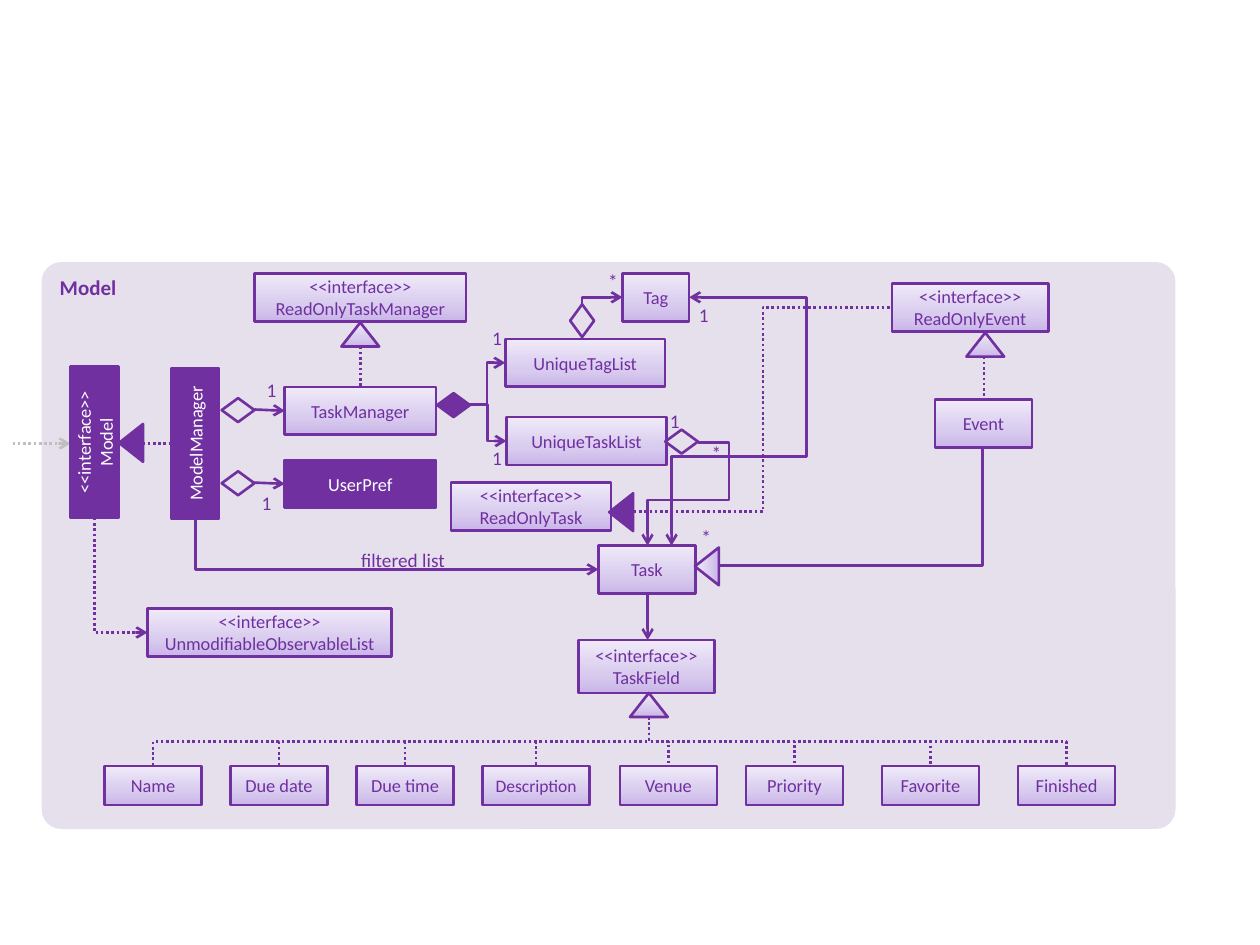
"""Build a class diagram of the Model component."""
import copy
import dataclasses
import typing

import pptx
import pptx.dml.color
import pptx.enum.dml
import pptx.enum.shapes
import pptx.enum.text
import pptx.oxml.ns
import pptx.oxml.xmlchemy
import pptx.util

Inches = pptx.util.Inches
Shapes = pptx.enum.shapes.MSO_SHAPE
Align = pptx.enum.text.PP_ALIGN
Anchor = pptx.enum.text.MSO_ANCHOR
qn = pptx.oxml.ns.qn
Point = tuple[float, float]

COLORS = {"purple": "7030A0", "panel": "E6E0EC", "white": "FFFFFF", "gray": "BFBFBF"}
GRADIENT = ((0, "C9B5E8"), (0.35, "D8CBEE"), (1, "F0EAF9"))
INTERFACE = "<<interface>>\n"
FIELD_TOP = 6.08


@dataclasses.dataclass
class Box:
    text: str
    left: float
    top: float
    width: float
    height: float = 0.38
    fill: str = "gradient"
    rotation: float = 0
    size: float = 10.5


@dataclasses.dataclass
class Marker:
    kind: Shapes
    left: float
    top: float
    fill: str = "none"
    rotation: float = 0


@dataclasses.dataclass
class Link:
    begin: Point
    end: Point
    bends: int = 0
    vertical: bool = False
    arrow: bool = True
    dotted: bool = False
    color: str = "purple"
    adjustments: tuple[float, ...] = ()


@dataclasses.dataclass
class Label:
    text: str
    left: float
    top: float


BOXES = [
    Box("UserPref", 2.26, 3.65, 1.2, fill="purple"),
    Box("ModelManager", 0.95, 3.33, 1.2, fill="purple", rotation=270),
    Box(INTERFACE + "Model", 0.15, 3.32, 1.2, fill="purple", rotation=270),
    Box("TaskManager", 2.26, 3.07, 1.2),
    Box("UniqueTaskList", 4.02, 3.31, 1.27),
    Box("UniqueTagList", 4.01, 2.69, 1.27),
    Box("Tag", 4.94, 2.17, 0.53),
    Box(INTERFACE + "ReadOnlyTask", 3.58, 3.83, 1.27),
    Box(INTERFACE + "ReadOnlyTaskManager", 2.02, 2.17, 1.68),
    Box(INTERFACE + "UnmodifiableObservableList", 1.17, 4.83, 1.94),
    Box(INTERFACE + "ReadOnlyEvent", 7.08, 2.25, 1.24),
    Box("Event", 7.42, 3.17, 0.77),
    Box("Task", 4.75, 4.33, 0.77),
    Box(INTERFACE + "TaskField", 4.59, 5.08, 1.08, 0.42),
]
FIELDS = [
    Box(name, left, FIELD_TOP, 0.85 if name == "Description" else 0.77, 0.31,
        size=10 if name == "Description" else 10.5)
    for name, left in (
        ("Name", 0.83), ("Due date", 1.83), ("Due time", 2.83), ("Description", 3.83),
        ("Venue", 4.92), ("Priority", 5.92), ("Favorite", 7), ("Finished", 8.08))
]
DIAMOND, TRIANGLE = Shapes.FLOWCHART_DECISION, Shapes.ISOSCELES_TRIANGLE
MARKER_SIZES = {DIAMOND: (0.26, 0.19), TRIANGLE: (0.3, 0.19)}
MARKERS = [
    Marker(DIAMOND, 1.76, 3.74),
    Marker(DIAMOND, 1.76, 3.16),
    Marker(DIAMOND, 3.47, 3.12, "purple"),
    Marker(DIAMOND, 5.28, 3.41),
    Marker(DIAMOND, 4.49, 2.45, rotation=270),
    Marker(TRIANGLE, 0.89, 3.42, "purple", 270),
    Marker(TRIANGLE, 4.78, 3.97, "purple", 270),
    Marker(TRIANGLE, 5.46, 4.4, "gradient", 270),
    Marker(TRIANGLE, 2.71, 2.56, "gradient"),
    Marker(TRIANGLE, 7.67, 2.64, "gradient"),
    Marker(TRIANGLE, 5, 5.5, "gradient"),
]
LINKS = [
    Link((5.03, 4.06), (7.08, 2.44), 2, arrow=False, dotted=True),
    Link((1.55, 4.12), (4.75, 4.52), 1, vertical=True),
    Link((2.01, 3.83), (2.26, 3.84)),
    Link((0.1, 3.52), (0.56, 3.52), dotted=True, color="gray"),
    Link((1.13, 3.52), (1.37, 3.52), arrow=False, dotted=True),
    Link((2.02, 3.25), (2.26, 3.26)),
    Link((3.72, 3.21), (4.02, 3.5), 2),
    Link((3.72, 3.21), (4.01, 2.88), 2),
    Link((5.54, 3.51), (5.14, 4.33), 3, adjustments=(-0.62, 0.56)),
    Link((4.62, 2.42), (4.94, 2.36), 1, vertical=True),
    Link((2.86, 2.75), (2.86, 3.07), arrow=False, dotted=True),
    Link((0.75, 4.11), (1.17, 5.02), 1, vertical=True, dotted=True),
    Link((6.4, 3.32), (5.47, 2.36), 1, vertical=True),
    Link((6.4, 2.92), (5.33, 4.33), 2, vertical=True),
    Link((7.81, 2.83), (7.81, 3.15), arrow=False, dotted=True),
    Link((5.7, 4.49), (7.8, 3.55), 1, arrow=False),
    Link((5.14, 4.71), (5.14, 5.08)),
] + [
    Link((5.15, 5.69), (field.left + field.width / 2, FIELD_TOP), 2,
         vertical=True, arrow=False, dotted=True)
    for field in FIELDS
]
LABELS = [
    Label("1", 3.84, 2.59), Label("1", 3.84, 3.54), Label("1", 5.48, 2.41),
    Label("1", 2.05, 3), Label("1", 2.01, 3.9), Label("1", 5.25, 3.25),
    Label("*", 4.76, 2.14), Label("*", 5.58, 3.5), Label("*", 5.5, 4.17),
]


def rgb(color: str) -> pptx.dml.color.RGBColor:
    return pptx.dml.color.RGBColor.from_string(COLORS.get(color, color))


def write(shape: typing.Any, text: str, *, size: float = 11, color: str = "purple",
          bold: bool = False, align: Align = Align.CENTER,
          anchor: Anchor = Anchor.TOP, inset: typing.Optional[float] = None) -> None:
    frame = shape.text_frame
    frame.word_wrap = True
    frame.vertical_anchor = anchor
    if inset is not None:
        frame.margin_left = frame.margin_right = Inches(inset)
        frame.margin_top = frame.margin_bottom = Inches(inset)
    frame.text = text
    for paragraph in frame.paragraphs:
        paragraph.alignment = align
        font = paragraph.runs[0].font
        font.name, font.size, font.bold = "Calibri", pptx.util.Pt(size), bold
        font.color.rgb = rgb(color)


def add_shape(slide: typing.Any, kind: Shapes, left: float, top: float, width: float,
              height: float, fill: str, rotation: float = 0, line: bool = True) -> typing.Any:
    shape = slide.shapes.add_shape(kind, Inches(left), Inches(top), Inches(width), Inches(height))
    shape.shadow.inherit = False
    shape.rotation = rotation
    if fill == "none":
        shape.fill.background()
    elif fill == "gradient":
        shape.fill.gradient()
        shape.fill.gradient_angle = 90
        stops = shape.element.spPr.find(".//" + qn("a:gsLst"))
        stops.insert(1, copy.deepcopy(stops[0]))
        for stop, (position, color) in zip(shape.fill.gradient_stops, GRADIENT):
            stop.position = position
            stop.color.rgb = rgb(color)
    else:
        shape.fill.solid()
        shape.fill.fore_color.rgb = rgb(fill)
    if line:
        shape.line.color.rgb = rgb("purple")
        shape.line.width = pptx.util.Pt(1.5)
    else:
        shape.line.fill.background()
    return shape


def add_link(slide: typing.Any, link: Link) -> None:
    kinds = pptx.enum.shapes.MSO_CONNECTOR
    connector = slide.shapes.add_connector(
        kinds.ELBOW if link.bends else kinds.STRAIGHT,
        *(Inches(value) for value in link.begin + link.end))
    properties = connector.element.spPr
    if link.bends:
        geometry = properties.find(qn("a:prstGeom"))
        geometry.set("prst", f"bentConnector{link.bends + 1}")
        guides = geometry.get_or_add_avLst() if hasattr(geometry, "get_or_add_avLst") else geometry[0]
        for number, value in enumerate(link.adjustments, 1):
            guide = guides.makeelement(qn("a:gd"), {
                "name": f"adj{number}", "fmla": f"val {round(value * 100000)}"})
            guides.append(guide)
    if link.vertical:
        (x1, y1), (x2, y2) = link.begin, link.end
        across, down = x2 - x1, y2 - y1
        turned = across * down > 0
        width, height = abs(down), abs(across)
        connector.left = Inches((x1 + x2 - width) / 2)
        connector.top = Inches((y1 + y2 - height) / 2)
        connector.width, connector.height = Inches(width), Inches(height)
        frame = properties.find(qn("a:xfrm"))
        frame.set("rot", str((270 if turned else 90) * 60000))
        frame.set("flipH", str(int((down > 0) == turned)))
        frame.set("flipV", str(int((across < 0) == turned)))
    connector.line.color.rgb = rgb(link.color)
    connector.line.width = pptx.util.Pt(1.5)
    if link.dotted:
        connector.line.dash_style = pptx.enum.dml.MSO_LINE.ROUND_DOT
    line = properties.find(qn("a:ln"))
    if link.arrow:
        line.append(line.makeelement(qn("a:tailEnd"), {"type": "arrow"}))
    properties.append(properties.makeelement(qn("a:effectLst"), {}))


def add_label(slide: typing.Any, text: str, left: float, top: float, width: float,
              height: float, **text_format: typing.Any) -> None:
    label = slide.shapes.add_textbox(Inches(left), Inches(top), Inches(width), Inches(height))
    write(label, text, **text_format)


def build() -> None:
    presentation = pptx.Presentation()
    presentation.slide_width, presentation.slide_height = Inches(10), Inches(7.5)
    slide = presentation.slides.add_slide(presentation.slide_layouts[6])
    panel = add_shape(slide, Shapes.ROUNDED_RECTANGLE, 0.33, 2.08, 9, 4.5, "panel", line=False)
    panel.adjustments[0] = 0.035
    write(panel, "Model", size=12, bold=True, align=Align.LEFT)
    for link in LINKS:
        add_link(slide, link)
    for box in BOXES + FIELDS:
        shape = add_shape(slide, Shapes.RECTANGLE, box.left, box.top, box.width, box.height,
                          box.fill, box.rotation)
        write(shape, box.text, size=box.size, anchor=Anchor.MIDDLE,
              color="white" if box.fill == "purple" else "purple")
    for marker in MARKERS:
        add_shape(slide, marker.kind, marker.left, marker.top, *MARKER_SIZES[marker.kind],
                  marker.fill, marker.rotation)
    for label in LABELS:
        add_label(slide, label.text, label.left, label.top, 0.21, 0.2, inset=0)
    add_label(slide, "filtered list", 2.67, 4.3, 0.96, 0.29, align=Align.RIGHT)
    presentation.save("out.pptx")


build()
